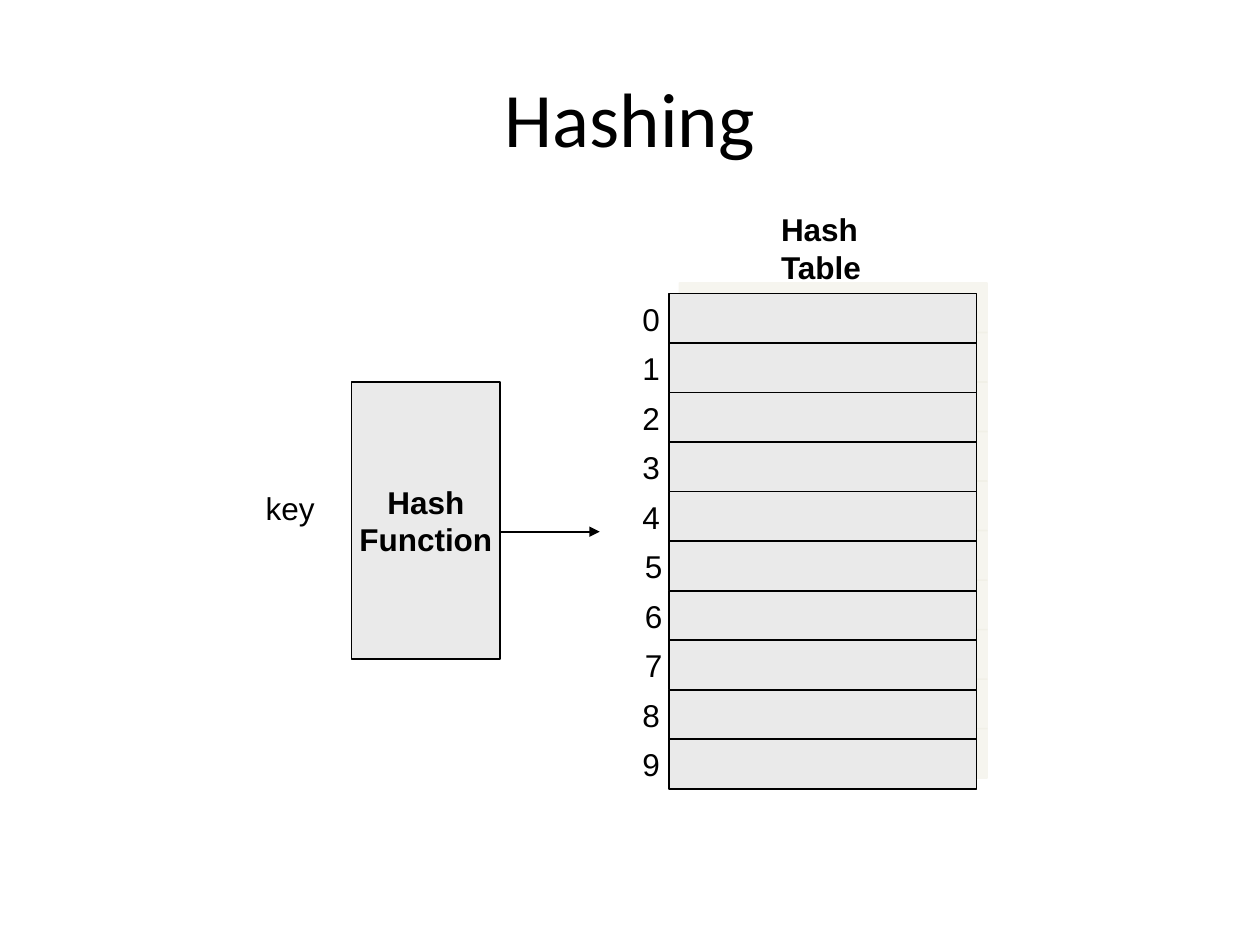
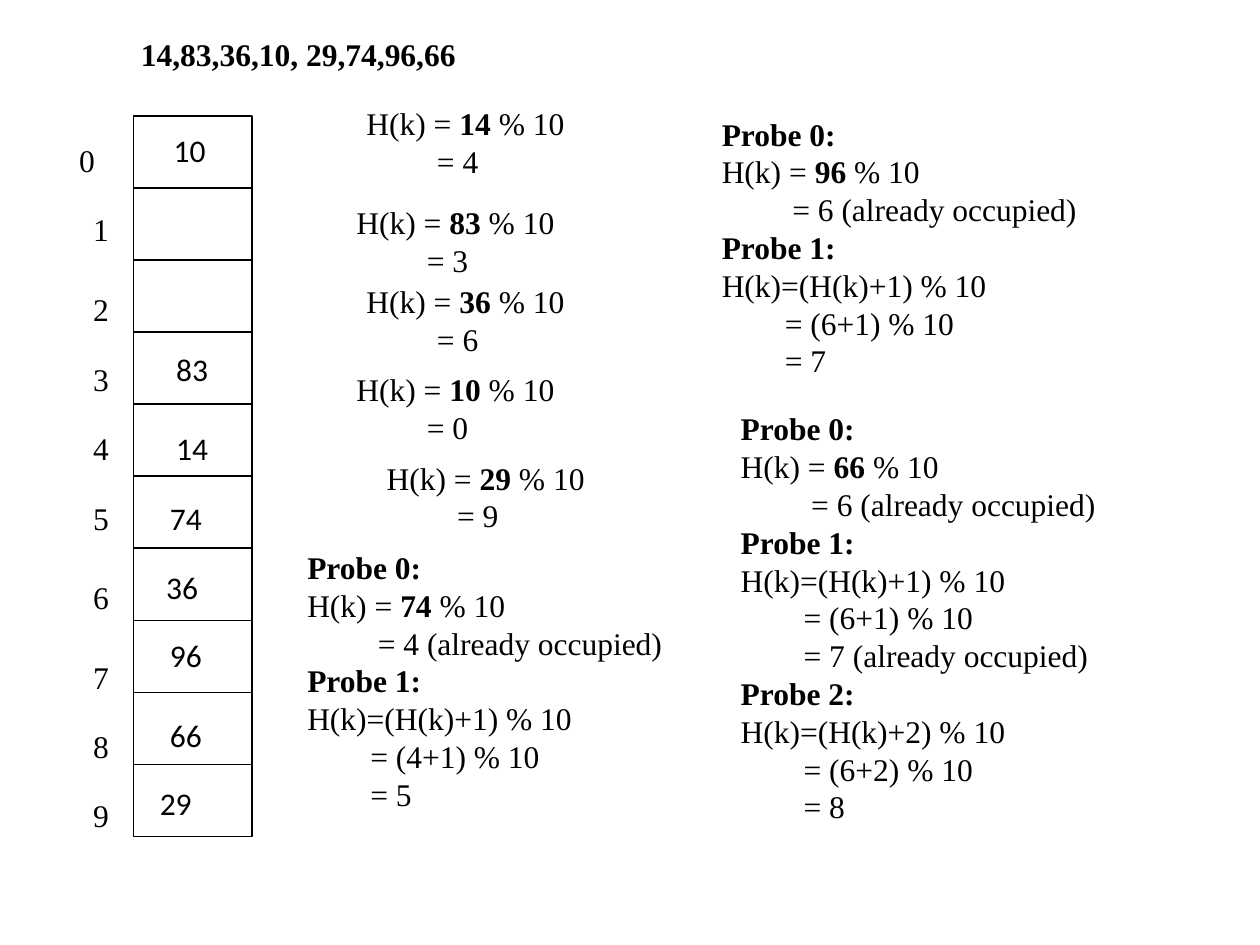
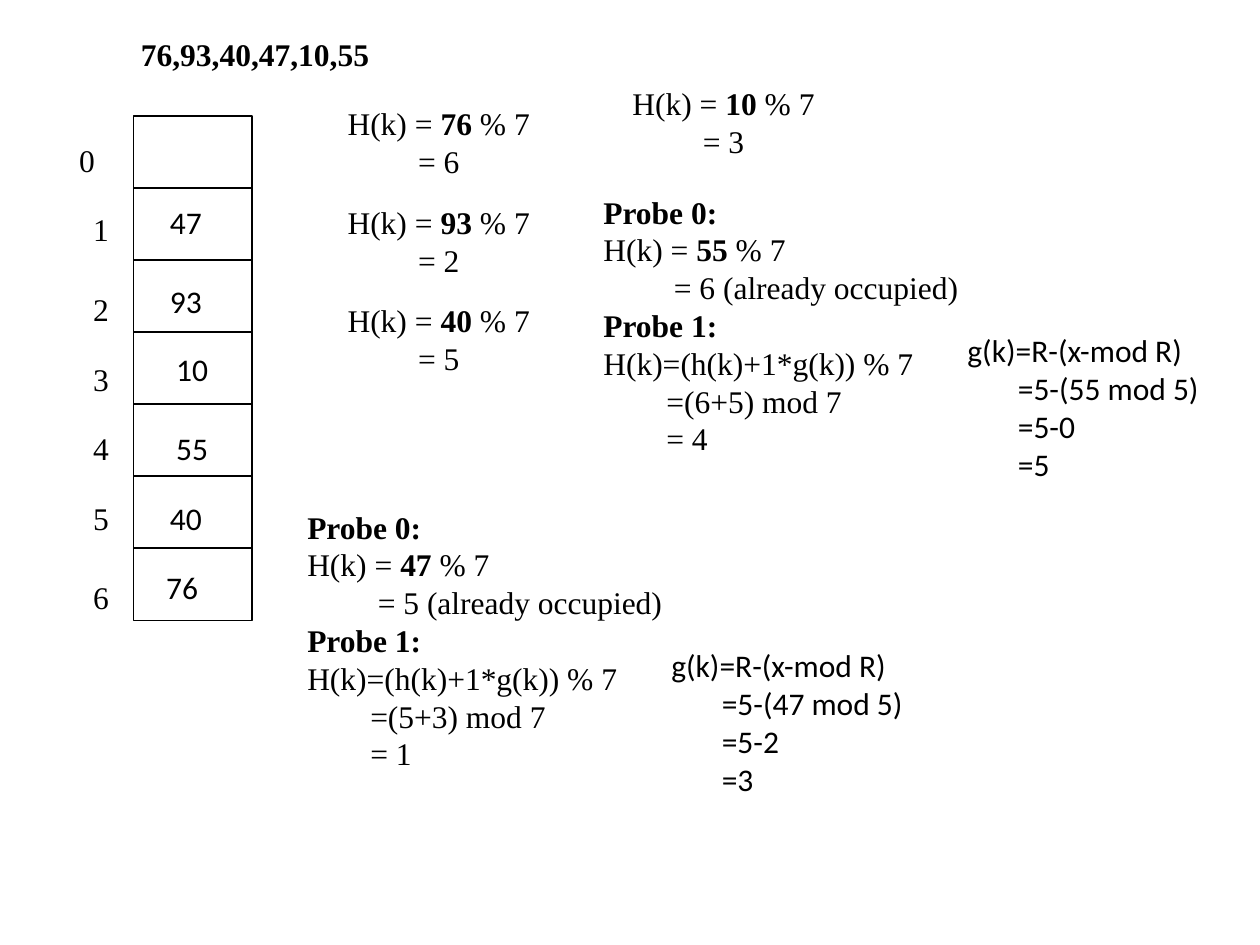
from lxml import etree
from pptx import Presentation
from pptx.dml.color import RGBColor
from pptx.enum.shapes import MSO_CONNECTOR, MSO_SHAPE
from pptx.enum.text import MSO_ANCHOR, MSO_AUTO_SIZE, PP_ALIGN
from pptx.oxml.ns import qn
from pptx.util import Inches, Pt

BLACK = RGBColor(0x00, 0x00, 0x00)
GREY = RGBColor(0xEA, 0xEA, 0xEA)
SHADOW = RGBColor(0xEE, 0xEC, 0xE1)

LEFT = PP_ALIGN.LEFT
CENTER = PP_ALIGN.CENTER
TOP = MSO_ANCHOR.TOP
MIDDLE = MSO_ANCHOR.MIDDLE
FIT_SHAPE = MSO_AUTO_SIZE.SHAPE_TO_FIT_TEXT
RECTANGLE = MSO_SHAPE.RECTANGLE
STRAIGHT = MSO_CONNECTOR.STRAIGHT

SANS = "Arial"
HEADING = "Calibri"
SERIF = "Times New Roman"

HOME_INDENT = 0.56
PROBE_INDENT = 0.5
STEP_INDENT = 0.4

INDEX_TOPS = [1.07, 1.62, 2.25, 2.81, 3.36, 3.91, 4.54, 5.17, 5.72, 6.27]
VALUE_SPOTS = [
    (1.28, 0.99), (1.25, 1.56), (1.25, 2.19), (1.3, 2.73), (1.3, 3.36),
    (1.25, 3.91), (1.22, 4.46), (1.25, 5), (1.25, 5.63), (1.17, 6.17),
]


def home(key, size, note=""):
    return [(f"H(k) = |{key}| % {size}", 0), (f"= {key % size}{note}", HOME_INDENT)]


def probe(number, formula, *steps):
    lines = [(f"|Probe {number}:|", 0), (formula, 0)]
    return lines + [(step, PROBE_INDENT) for step in steps]


def collision(key, size):
    return [("|Probe 0:|", 0)] + home(key, size, " (already occupied)")


def second_hash(key):
    rest = key % 5
    steps = [f"=5-({key} mod 5)", f"=5-{rest}", f"={5 - rest}"]
    return [("g(k)=R-(x-mod R)", 0)] + [(step, STEP_INDENT) for step in steps]


class Deck:
    def __init__(self):
        self.prs = Presentation()
        self.prs.slide_width = Inches(10)
        self.prs.slide_height = Inches(7.5)
        self.slide = None

    def new_slide(self):
        self.slide = self.prs.slides.add_slide(self.prs.slide_layouts[6])

    def put_lines(self, frame, lines, font, size=18, align=LEFT, anchor=TOP, wrap=True):
        frame.word_wrap = wrap
        frame.vertical_anchor = anchor
        for number, (line, indent) in enumerate(lines):
            paragraph = frame.paragraphs[0] if number == 0 else frame.add_paragraph()
            paragraph.alignment = align
            if indent:
                properties = paragraph._p.get_or_add_pPr()
                properties.set("marL", str(Inches(indent)))
                properties.set("indent", "0")
            for part, words in enumerate(line.split("|")):
                if words:
                    run = paragraph.add_run()
                    run.text = words
                    run.font.name = font
                    run.font.size = Pt(size)
                    run.font.bold = part % 2 == 1
                    run.font.color.rgb = BLACK

    def title(self, words):
        box = self.slide.shapes.add_textbox(Inches(0.5), Inches(0.3), Inches(9), Inches(1.25))
        self.put_lines(box.text_frame, [(words, 0)], HEADING, 44, CENTER, MIDDLE)

    def text(self, left, top, width, height, lines, font=SERIF, wrap=True):
        box = self.slide.shapes.add_textbox(
            Inches(left), Inches(top), Inches(width), Inches(height))
        self.put_lines(box.text_frame, lines, font, wrap=wrap)
        box.text_frame.auto_size = FIT_SHAPE

    def box(self, left, top, width, height, fill=None):
        shape = self.slide.shapes.add_shape(
            RECTANGLE, Inches(left), Inches(top), Inches(width), Inches(height))
        shape.shadow.inherit = False
        if fill is None:
            shape.fill.background()
        else:
            shape.fill.solid()
            shape.fill.fore_color.rgb = fill
        shape.line.color.rgb = BLACK
        shape.line.width = Pt(1)
        return shape

    def cast_shadow(self, shape):
        effects = shape._element.spPr.find(qn("a:effectLst"))
        shadow = etree.SubElement(
            effects, qn("a:outerShdw"), blurRad="0", dist=str(Pt(8.5)),
            dir=str(315 * 60000), algn="ctr", rotWithShape="0")
        color = etree.SubElement(shadow, qn("a:srgbClr"), val=str(SHADOW))
        etree.SubElement(color, qn("a:alpha"), val="50000")

    def arrow(self, left, right, y):
        connector = self.slide.shapes.add_connector(
            STRAIGHT, Inches(left), Inches(y), Inches(right), Inches(y))
        connector.line.color.rgb = BLACK
        connector.line.width = Pt(1)
        properties = connector._element.spPr
        etree.SubElement(properties.find(qn("a:ln")), qn("a:tailEnd"), type="triangle")
        etree.SubElement(properties, qn("a:effectLst"))

    def filled_table(self, keys, slots):
        self.text(1.02, 0.23, 5.63, 0.4, [(f"|{keys}|", 0)])
        height = 5.72 / 10
        for index in reversed(range(len(slots))):
            self.box(1.06, 0.92 + index * height, 0.94, height)
        for index, value in enumerate(slots):
            index_left = 0.53 if index == 0 else 0.64
            self.text(index_left, INDEX_TOPS[index], 0.34, 0.4, [(str(index), 0)])
            if value is not None:
                left, top = VALUE_SPOTS[index]
                self.text(left, top, 0.57, 0.4, [(str(value), 0)], HEADING)

    def home_steps(self, size, steps):
        for key, left, top in steps:
            self.text(left, top, 2.91, 0.71, home(key, size))


def hashing(deck):
    deck.new_slide()
    deck.title("Hashing")
    function_box = deck.box(2.79, 3.03, 1.18, 2.2, GREY)
    deck.put_lines(function_box.text_frame, [("|Hash|", 0), ("|Function|", 0)],
                   SANS, align=CENTER, anchor=MIDDLE, wrap=False)
    deck.arrow(3.98, 4.76, 4.22)
    deck.text(6.1, 1.62, 0.88, 0.7, [("|Hash|", 0), ("|Table|", 0)], SANS, False)
    deck.text(2.01, 3.83, 0.59, 0.4, [("key", 0)], SANS, False)
    height = 3.93 / 10
    for index in reversed(range(10)):
        top = 2.33 + index * height
        deck.cast_shadow(deck.box(5.31, top, 2.44, height, GREY))
        index_left = 5.02 if index in (5, 6, 7) else 5
        deck.text(index_left, top, 0.34, 0.4, [(str(index), 0)], SANS, False)


def linear_probing(deck):
    deck.new_slide()
    deck.filled_table("14,83,36,10, 29,74,96,66",
                      [10, None, None, 83, 14, 74, 36, 96, 66, 29])
    deck.home_steps(10, [(14, 2.81, 0.78), (83, 2.73, 1.56), (36, 2.81, 2.19),
                         (10, 2.73, 2.89), (29, 2.97, 3.59)])
    first_probe = "H(k)=(H(k)+1) % 10"
    deck.text(2.34, 4.3, 3.85, 2.52, collision(74, 10)
              + probe(1, first_probe, "= (4+1) % 10", "= 5"))
    deck.text(5.63, 0.86, 3.85, 2.52, collision(96, 10)
              + probe(1, first_probe, "= (6+1) % 10", "= 7"))
    deck.text(5.78, 3.2, 3.85, 4.04, collision(66, 10)
              + probe(1, first_probe, "= (6+1) % 10", "= 7 (already occupied)")
              + probe(2, "H(k)=(H(k)+2) % 10", "= (6+2) % 10", "= 8"))


def double_hashing(deck):
    deck.new_slide()
    deck.filled_table("76,93,40,47,10,55", [None, 47, 93, 10, 55, 40, 76])
    deck.home_steps(7, [(76, 2.66, 0.78), (93, 2.66, 1.56), (40, 2.66, 2.34),
                        (10, 4.92, 0.62)])
    first_probe = "H(k)=(h(k)+1*g(k)) % 7"
    deck.text(4.69, 1.48, 4.38, 2.22, collision(55, 7)
              + probe(1, first_probe, "=(6+5) mod 7", "= 4"))
    deck.text(7.58, 2.58, 2.19, 1.62, second_hash(55), HEADING)
    deck.text(2.34, 3.98, 5.39, 2.22, collision(47, 7)
              + probe(1, first_probe, "=(5+3) mod 7", "= 1"))
    deck.text(5.23, 5.08, 2.19, 1.62, second_hash(47), HEADING)


def main():
    deck = Deck()
    hashing(deck)
    linear_probing(deck)
    double_hashing(deck)
    deck.prs.save("out.pptx")


if __name__ == "__main__":
    main()
